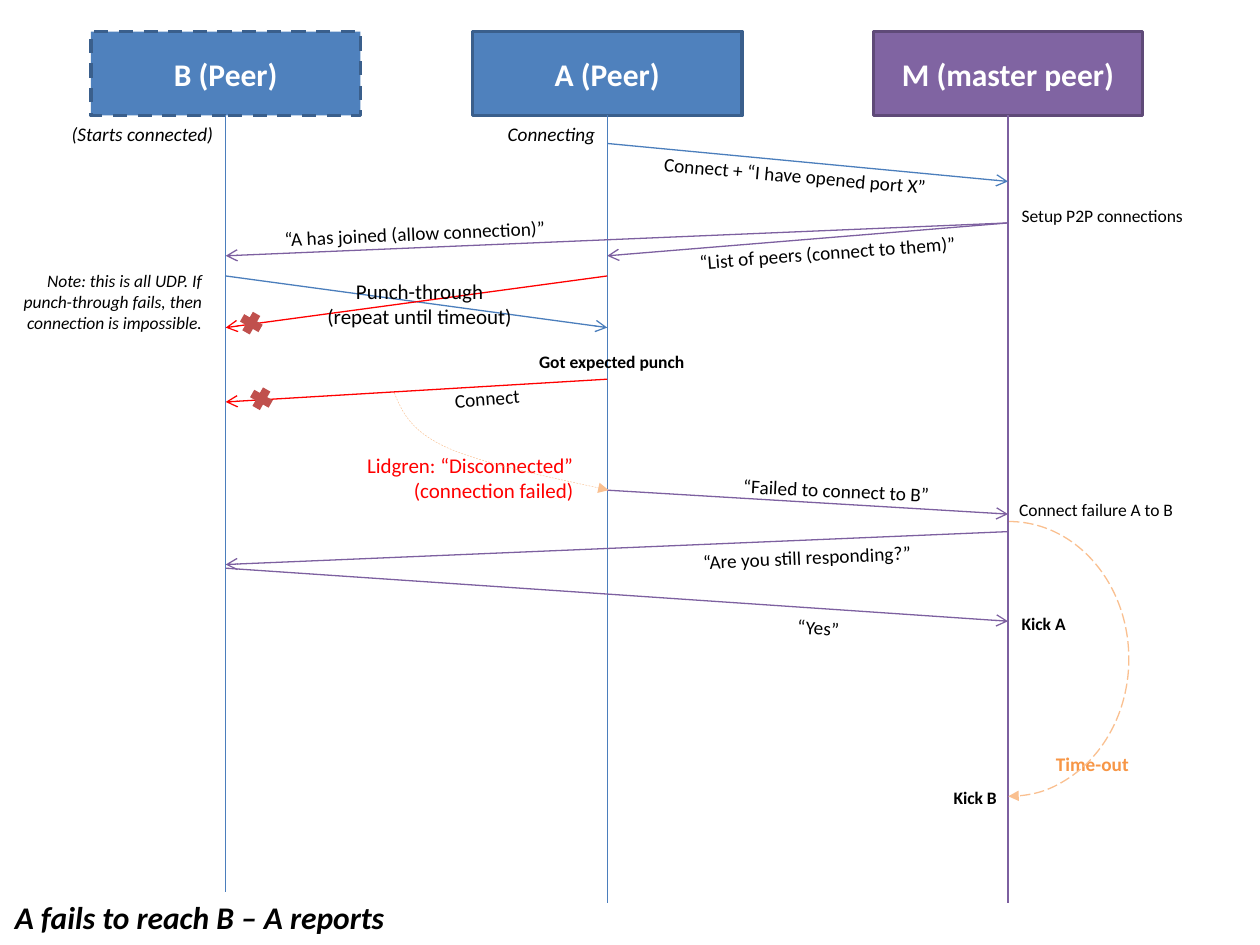
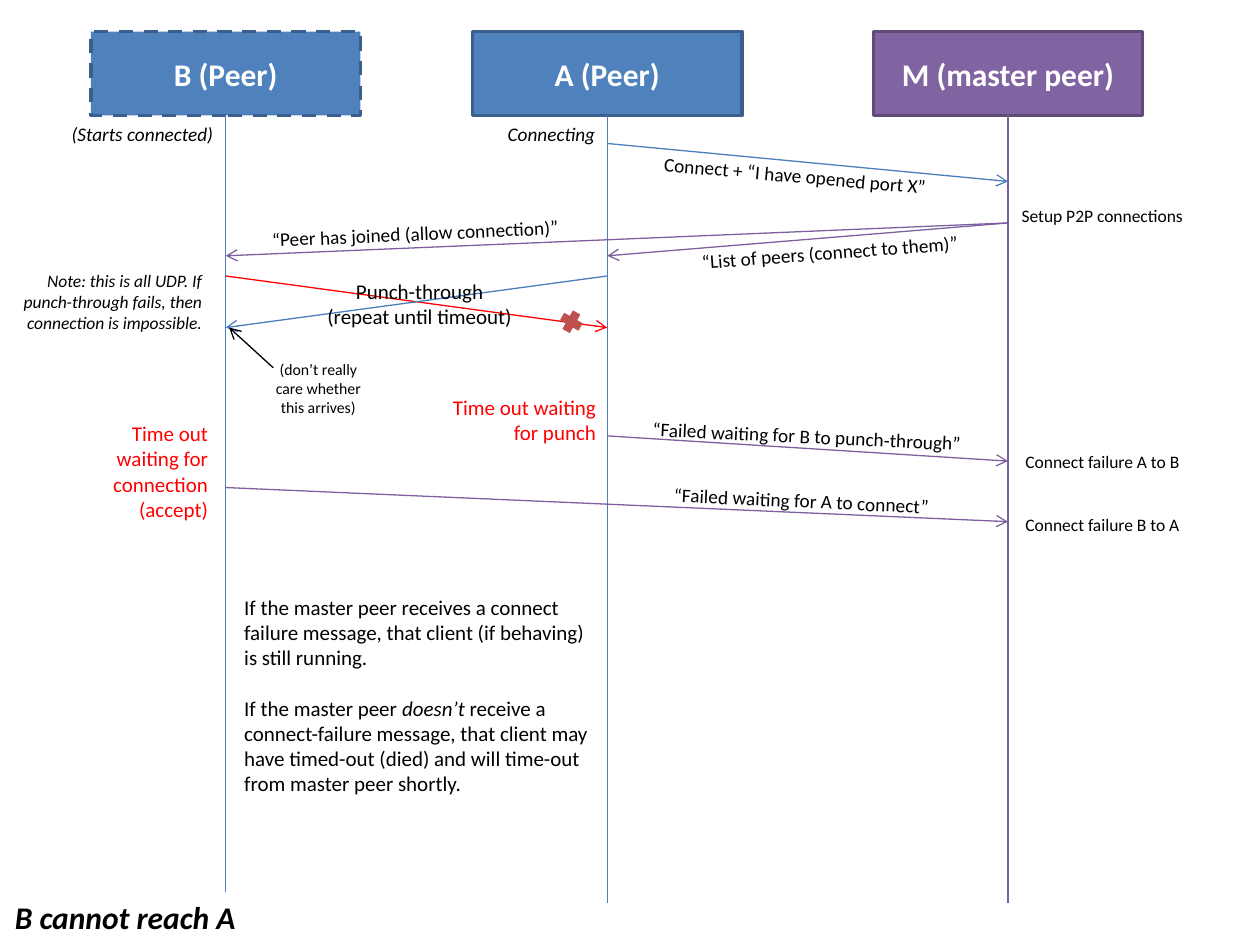
from dataclasses import dataclass

from lxml.etree import SubElement
from pptx import Presentation
from pptx.dml.color import RGBColor
from pptx.enum.dml import MSO_LINE
from pptx.enum.shapes import MSO_CONNECTOR, MSO_SHAPE
from pptx.enum.text import MSO_ANCHOR, MSO_AUTO_SIZE, PP_ALIGN
from pptx.oxml.ns import qn
from pptx.slide import Slide
from pptx.util import Pt

COLORS = {
    "peer": "4F81BD", "peer_edge": "3A5F8C", "peer_line": "4B7EBC",
    "master": "8064A2", "master_edge": "5F4A78", "master_line": "7D60A0",
    "failed": "FF0000", "cross": "C0504D", "wait": "FAC090", "timeout": "F79646",
    "text": "000000", "header_text": "FFFFFF",
}
FONT = "Calibri"
HEADER_TOP, HEADER_W, HEADER_H = 18, 154, 48
CROSS_SIZE = 12.2
LINE_W = 0.75
LEFT, CENTER, RIGHT = PP_ALIGN.LEFT, PP_ALIGN.CENTER, PP_ALIGN.RIGHT


@dataclass(frozen=True)
class Peer:
    label: str
    x: float
    line_end: float
    theme: str
    dashed: bool = False


@dataclass(frozen=True)
class Message:
    sender: str
    receiver: str
    sent: float
    received: float
    color: str = "master_line"


@dataclass(frozen=True)
class Note:
    """Text box; each newline starts a paragraph, *asterisks* mark italics."""
    text: str
    x: float
    y: float
    w: float
    size: float = 11
    rows: int = 1
    color: str = "text"
    align: PP_ALIGN = LEFT
    bold: bool = False
    italic: bool = False
    rotation: float = 0
    wrap: bool = False
    gap: float = 0


PEERS = {
    "A": Peer("A (Peer)", 347, 516, "peer"),
    "B": Peer("B (Peer)", 129, 510, "peer", dashed=True),
    "M": Peer("M (master peer)", 576, 516, "master"),
}

# The opening of the conversation is the same in every scenario
OPENING_MESSAGES = [
    Message("A", "M", 82, 103.7, "peer_line"),
    Message("M", "A", 127.4, 146.2),
    Message("M", "B", 127.4, 146.2),
]
OPENING_NOTES = [
    Note("Connect + “I have opened port X”", 372.2, 90, 165.6, rotation=5),
    Note("(Starts connected)", 33.8, 66.2, 97.2, italic=True),
    Note("Connecting", 283, 66.2, 64.8, italic=True),
    Note("Punch-through\n(repeat until timeout)", 179.3, 155.5, 121, 12, 2, align=CENTER),
    Note("Setup P2P connections", 576.7, 113.8, 113, 10, wrap=True),
    Note("Note: this is all UDP. If punch-through fails, then connection is impossible.",
         5.8, 150.5, 116.6, 10, 3, align=RIGHT, italic=True, wrap=True),
]


def rgb(name: str) -> RGBColor:
    return RGBColor.from_string(COLORS[name])


def style_line(line, color: str, width: float = LINE_W, dash=None, arrow: str = "") -> None:
    line.color.rgb = rgb(color)
    line.width = Pt(width)
    if dash is not None:
        line.dash_style = dash
    if arrow:
        SubElement(line._get_or_add_ln(), qn("a:tailEnd"), type=arrow)


def add_line(slide: Slide, x1: float, y1: float, x2: float, y2: float,
             color: str, arrow: str = ""):
    connector = slide.shapes.add_connector(
        MSO_CONNECTOR.STRAIGHT, Pt(x1), Pt(y1), Pt(x2), Pt(y2))
    style_line(connector.line, color, arrow=arrow)
    SubElement(connector._element.spPr, qn("a:effectLst"))
    return connector


def add_peer(slide: Slide, peer: Peer) -> None:
    header = slide.shapes.add_shape(
        MSO_SHAPE.RECTANGLE, Pt(peer.x - HEADER_W / 2), Pt(HEADER_TOP),
        Pt(HEADER_W), Pt(HEADER_H))
    header.shadow.inherit = False
    header.fill.solid()
    header.fill.fore_color.rgb = rgb(peer.theme)
    style_line(header.line, f"{peer.theme}_edge", 2, MSO_LINE.DASH if peer.dashed else None)
    header.text_frame.vertical_anchor = MSO_ANCHOR.MIDDLE
    label = header.text_frame.paragraphs[0]
    label.text = peer.label
    label.alignment = CENTER
    label.font.name, label.font.size, label.font.bold = FONT, Pt(18), True
    label.font.color.rgb = rgb("header_text")
    lifeline = add_line(slide, peer.x, HEADER_TOP + HEADER_H, peer.x, peer.line_end,
                        f"{peer.theme}_line")
    lifeline.begin_connect(header, 2)


def add_message(slide: Slide, message: Message) -> None:
    add_line(slide, PEERS[message.sender].x, message.sent,
             PEERS[message.receiver].x, message.received, message.color, "arrow")


def add_note(slide: Slide, note: Note) -> None:
    height = note.rows * note.size * 1.2 + 7.2
    box = slide.shapes.add_textbox(Pt(note.x), Pt(note.y), Pt(note.w), Pt(height))
    box.rotation = note.rotation
    frame = box.text_frame
    frame.word_wrap = note.wrap
    frame.auto_size = MSO_AUTO_SIZE.SHAPE_TO_FIT_TEXT
    for index, line in enumerate(note.text.split("\n")):
        paragraph = frame.add_paragraph() if index else frame.paragraphs[0]
        paragraph.alignment = note.align
        if index and note.gap:
            paragraph.space_before = Pt(note.gap)
        font = paragraph.font
        font.name, font.size, font.bold = FONT, Pt(note.size), note.bold
        font.italic = note.italic
        font.color.rgb = rgb(note.color)
        for part, words in enumerate(line.split("*")):
            run = paragraph.add_run()
            run.text = words
            if part % 2:
                run.font.italic = True


def add_cross(slide: Slide, x: float, y: float) -> None:
    cross = slide.shapes.add_shape(
        MSO_SHAPE.CROSS, Pt(x), Pt(y), Pt(CROSS_SIZE), Pt(CROSS_SIZE))
    cross.adjustments[0] = 0.3
    cross.rotation = 29.7
    cross.shadow.inherit = False
    cross.fill.solid()
    cross.fill.fore_color.rgb = rgb("cross")
    cross.line.fill.background()


def bezier(points: list[tuple[float, float]], t: float) -> tuple[int, int]:
    weights = ((1 - t) ** 3, 3 * t * (1 - t) ** 2, 3 * t * t * (1 - t), t ** 3)
    x, y = (sum(w * p[axis] for w, p in zip(weights, points)) for axis in (0, 1))
    return Pt(x), Pt(y)


def add_failure_curve(slide: Slide) -> None:
    """Dashed curve from the failed connect back to A's lifeline."""
    start, middle, end = (225.4, 224.6), (254.9, 255.6), (347.8, 280.1)
    halves = [[start, (229.7, 235.4), (234.7, 246.2), middle],
              [middle, (275.8, 265), (311.8, 272.2), end]]
    steps = 12
    builder = slide.shapes.build_freeform(Pt(start[0]), Pt(start[1]))
    builder.add_line_segments(
        [bezier(half, step / steps) for half in halves for step in range(1, steps + 1)],
        close=False)
    curve = builder.convert_to_shape()
    curve.shadow.inherit = False
    curve.fill.background()
    style_line(curve.line, "wait", 0.25, MSO_LINE.DASH, "triangle")


def add_timeout_arc(slide: Slide) -> None:
    arc = slide.shapes.add_shape(MSO_SHAPE.ARC, Pt(508.3), Pt(298), Pt(136.8), Pt(157))
    arc.adjustments[0], arc.adjustments[1] = 162, 54.21
    arc.shadow.inherit = False
    arc.fill.background()
    style_line(arc.line, "wait", LINE_W, MSO_LINE.LONG_DASH, "triangle")


def add_scenario(deck, title: Note, messages: list[Message], notes: list[Note],
                 crosses: list[tuple[float, float]]) -> Slide:
    slide = deck.slides.add_slide(deck.slide_layouts[6])
    for peer in PEERS.values():
        add_peer(slide, peer)
    for message in OPENING_MESSAGES + messages:
        add_message(slide, message)
    for note in OPENING_NOTES + notes + [title]:
        add_note(slide, note)
    for x, y in crosses:
        add_cross(slide, x, y)
    return slide


def scenario_title(text: str, width: float) -> Note:
    return Note(text, 1.4, 509.8, width, 18, bold=True, italic=True)


def main() -> None:
    deck = Presentation()
    deck.slide_width, deck.slide_height = Pt(720), Pt(540)

    # A cannot reach B and reports it to the master
    reported = add_scenario(
        deck, scenario_title("A fails to reach B – A reports", 228.2),
        [
            Message("B", "A", 157.7, 187.2, "peer_line"),
            Message("A", "B", 157.7, 187.2, "failed"),
            Message("A", "B", 216.7, 229.7, "failed"),
            Message("A", "M", 280.1, 293.8),
            Message("M", "B", 303.8, 322.6),
            Message("B", "M", 324.7, 355),
        ],
        [
            Note("“List of peers (connect to them)”", 392.4, 133.9, 164.9, rotation=355.7),
            Note("“A has joined (allow connection)”", 155.5, 123.1, 164.9, rotation=357.5),
            Note("Connect", 252.7, 217.4, 51.8, rotation=355.8),
            Note("Got expected punch", 301, 197.3, 102.2, 10, bold=True, wrap=True),
            Note("“Failed to connect to B”", 417.6, 270, 121.7, rotation=2.7),
            Note("Lidgren: “Disconnected”\n(connection failed)", 193.7, 254.9, 141.1, 12, 2,
                 color="failed", align=RIGHT, wrap=True),
            Note("Connect failure A to B", 575.3, 281.5, 113, 10, wrap=True),
            Note("“Are you still responding?”", 394.6, 308.2, 134.6, rotation=357.5),
            Note("“Yes”", 448.6, 348.5, 38.9, rotation=3.7),
            Note("Kick A", 576.7, 347, 113, 10, bold=True, wrap=True),
            Note("Time-out", 596.2, 426.2, 56.9, color="timeout", bold=True),
            Note("Kick B", 463.7, 446.4, 113, 10, align=RIGHT, bold=True, wrap=True),
        ],
        [(137.5, 178.6), (143.3, 221.8)])
    add_failure_curve(reported)
    add_timeout_arc(reported)

    # B's punch never arrives, so both sides time out
    unreachable = add_scenario(
        deck, scenario_title("B cannot reach A", 141.8),
        [
            Message("B", "A", 157.7, 187.2, "failed"),
            Message("A", "B", 157.7, 187.2, "peer_line"),
            Message("B", "M", 278.6, 298.1),
            Message("A", "M", 249.1, 263.5),
        ],
        [
            Note("“List of peers (connect to them)”", 393.8, 133.9, 162, rotation=355.7),
            Note("“Peer has joined (allow connection)”", 148.3, 123.1, 179.3, rotation=357.5),
            Note("“Failed waiting for A to connect”", 378, 275.8, 161.3, rotation=2.7),
            Note("“Failed waiting for B to punch-through”", 365.8, 239, 192.2, rotation=2.7),
            Note("Time out waiting for connection (accept)", 37.4, 236.9, 88.6, 12, 4,
                 color="failed", align=RIGHT, wrap=True),
            Note("Time out waiting for punch", 238.3, 221.8, 109.4, 12, 2,
                 color="failed", align=RIGHT, wrap=True),
            Note("(don’t really care whether this arrives)", 146.2, 202.3, 71.3, 9, 3,
                 align=CENTER, wrap=True),
            Note("Connect failure B to A", 578.9, 290.2, 113, 10, wrap=True),
            Note("Connect failure A to B", 578.9, 254.2, 113, 10, wrap=True),
            Note("If the master peer receives a connect failure message, that client "
                 "(if behaving) is still running.\n"
                 "If the master peer *doesn’t* receive a connect-failure message, that client "
                 "may have timed-out (died) and will time-out from master peer shortly.",
                 132.5, 336.2, 211, 12, 8, wrap=True, gap=14.4),
        ],
        [(320.4, 177.8)])
    add_line(unreachable, 156.2, 210.2, 131, 187.2, "text", "arrow")

    deck.save("out.pptx")


if __name__ == "__main__":
    main()
